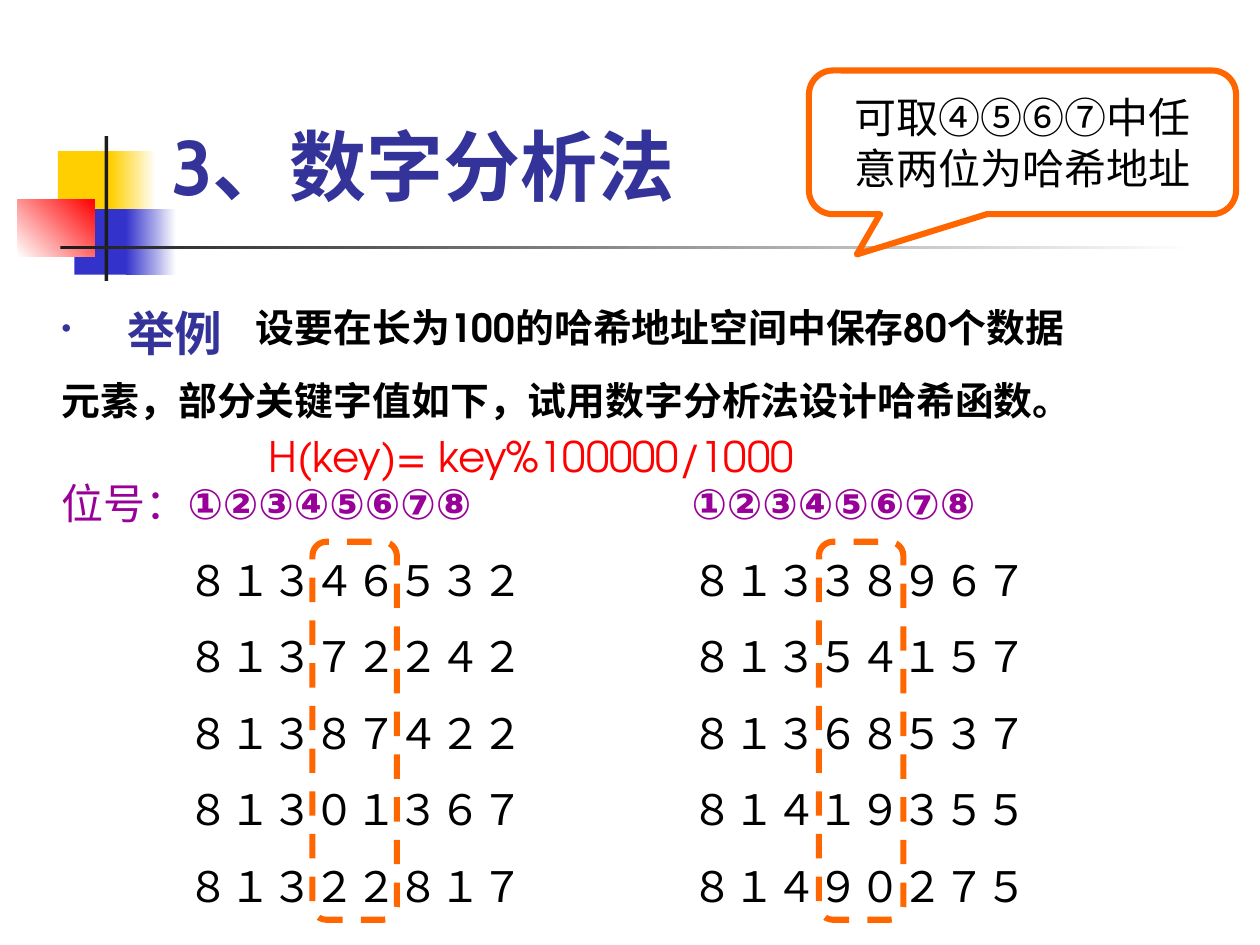
"""Build the slide on digit analysis for hash functions."""
from lxml import etree
from pptx import Presentation
from pptx.dml.color import RGBColor
from pptx.enum.dml import MSO_LINE
from pptx.enum.shapes import MSO_SHAPE
from pptx.enum.text import MSO_ANCHOR, MSO_AUTO_SIZE, PP_ALIGN
from pptx.oxml.ns import qn
from pptx.util import Inches, Pt

RECT = MSO_SHAPE.RECTANGLE
ROUND = MSO_SHAPE.ROUNDED_RECTANGLE
CALLOUT = MSO_SHAPE.ROUNDED_RECTANGULAR_CALLOUT
DASH = MSO_LINE.DASH
TOP, MIDDLE = MSO_ANCHOR.TOP, MSO_ANCHOR.MIDDLE
LEFT, CENTER, JUSTIFY = PP_ALIGN.LEFT, PP_ALIGN.CENTER, PP_ALIGN.JUSTIFY
FIXED = MSO_AUTO_SIZE.NONE

YELLOW = RGBColor(0xFF, 0xCF, 0x01)
BLUE = RGBColor(0x33, 0x33, 0xCC)
NAVY = RGBColor(0x33, 0x33, 0x99)
RED = RGBColor(0xFF, 0x00, 0x00)
WHITE = RGBColor(0xFF, 0xFF, 0xFF)
BLACK = RGBColor(0x00, 0x00, 0x00)
DARK = RGBColor(0x1C, 0x1C, 0x1C)
ORANGE = RGBColor(0xFF, 0x66, 0x00)
PURPLE = RGBColor(0x99, 0x00, 0x99)


def write(para, text, size=24, color=BLACK, bold=False, font="TeX Gyre Adventor",
          align=JUSTIFY, before=0, margin=0, indent=0, bullet=None):
    run = para.add_run()
    run.text = text
    run.font.size, run.font.bold, run.font.name = Pt(size), bold, font
    run.font.color.rgb = color
    etree.SubElement(run.font._element, qn("a:ea")).set("typeface", font)
    para.alignment = align
    para.space_before = Pt(before)
    props = para._p.get_or_add_pPr()
    props.set("marL", str(Inches(margin)))
    props.set("indent", str(Inches(indent)))
    if bullet:
        tint = etree.SubElement(props, qn("a:buClr"))
        etree.SubElement(tint, qn("a:srgbClr")).set("val", str(color))
        etree.SubElement(props, qn("a:buSzPct")).set("val", "60000")
        etree.SubElement(props, qn("a:buChar")).set("char", bullet)
    else:
        etree.SubElement(props, qn("a:buNone"))


def place(shape, box, anchor=TOP, wrap=True):
    shape.left, shape.top, shape.width, shape.height = [Inches(n) for n in box]
    frame = shape.text_frame
    frame.auto_size, frame.vertical_anchor, frame.word_wrap = FIXED, anchor, wrap
    return frame


deck = Presentation()
deck.slide_width, deck.slide_height = Inches(10), Inches(7.5)
slide = deck.slides.add_slide(deck.slide_layouts[1])
shapes = slide.shapes

DECOR = [
    ((0.46, 1.2, 0.48, 0.52), YELLOW, None, 0),
    ((0.88, 1.2, 0.36, 0.52), YELLOW, WHITE, 0),
    ((0.59, 1.66, 0.46, 0.52), BLUE, None, 0),
    ((1, 1.66, 0.4, 0.52), BLUE, WHITE, 0),
    ((0.14, 1.58, 0.61, 0.46), WHITE, RED, 45),
    ((0.83, 1.08, 0.03, 1.15), DARK, None, 0),
    ((0.48, 1.95, 9, 0.03), DARK, WHITE, 0),
]
for box, start, end, angle in DECOR:
    block = shapes.add_shape(RECT, *[Inches(n) for n in box])
    block.shadow.inherit = False
    block.line.fill.background()
    if end is None:
        block.fill.solid()
        block.fill.fore_color.rgb = start
    else:
        block.fill.gradient()
        block.fill.gradient_angle = angle
        for stop, color, spot in zip(block.fill.gradient_stops, (start, end), (0, 1)):
            stop.color.rgb = color
            stop.position = spot

title = place(shapes.title, (1.26, 0.68, 8.52, 1.25), MIDDLE)
write(title.paragraphs[0], "3、数字分析法", size=44, color=NAVY, bold=True,
      font="Cabin", align=LEFT)

body = place(slide.placeholders[1], (0.39, 2.36, 9.05, 1.18))
write(body.paragraphs[0], "设要在长为100的哈希地址空间中保存80个数据",
      size=22.2, bold=True, before=15, indent=1.54)
write(body.add_paragraph(), "元素，部分关键字值如下，试用数字分析法设计哈希函数。",
      size=22.2, bold=True, before=15)

label = place(shapes.add_textbox(0, 0, 0, 0), (0.39, 2.36, 9.05, 0.59))
write(label.paragraphs[0], "举例", size=27.2, color=NAVY, bold=True, before=20,
      margin=0.52, indent=-0.52, bullet="•")

COLUMNS = [
    (1.39, ["８１３４６５３２", "８１３７２２４２", "８１３８７４２２",
            "８１３０１３６７", "８１３２２８１７"]),
    (5.39, ["８１３３８９６７", "８１３５４１５７", "８１３６８５３７",
            "８１４１９３５５", "８１４９０２７５"]),
]
place_no = place(shapes.add_textbox(0, 0, 0, 0), (0.39, 3.74, 1.3, 0.5))
write(place_no.paragraphs[0], "位号：", color=PURPLE, before=15)
for left, keys in COLUMNS:
    column = place(shapes.add_textbox(0, 0, 0, 0), (left, 3.74, 3, 3.54))
    write(column.paragraphs[0], "①②③④⑤⑥⑦⑧", color=PURPLE, bold=True, before=15)
    for key in keys:
        write(column.add_paragraph(), key, before=15)

note = shapes.add_shape(CALLOUT, 0, 0, 0, 0)
for spot, value in enumerate((-0.388, 0.781, 0.167)):
    note.adjustments[spot] = value
frame = place(note, (6.42, 0.56, 3.39, 1.14), MIDDLE, False)
write(frame.paragraphs[0], "可取④⑤⑥⑦中任", align=CENTER)
write(frame.add_paragraph(), "意两位为哈希地址", align=CENTER)

frames = [note]
for left in (2.48, 6.5):
    frames.append(shapes.add_shape(ROUND, Inches(left), Inches(4.3), Inches(0.67), Inches(3)))
    frames[-1].line.dash_style = DASH
for shape in frames:
    shape.shadow.inherit = False
    shape.fill.background()
    shape.line.color.rgb = ORANGE
    shape.line.width = Pt(3.5)

rule = place(shapes.add_textbox(0, 0, 0, 0), (1.85, 3.32, 4.73, 0.59), MIDDLE, False)
write(rule.paragraphs[0], "H(key)= key%100000/1000", color=RED, align=CENTER)

deck.save("out.pptx")
